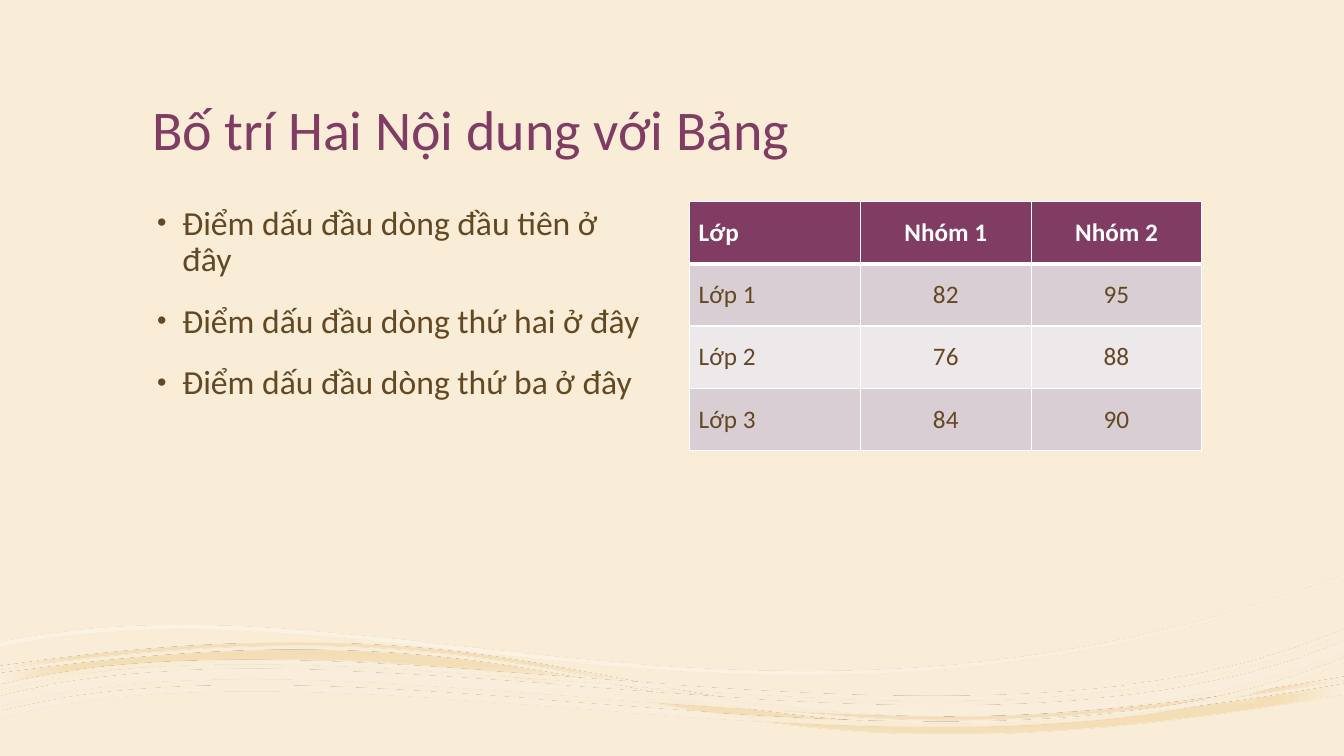
"""Build a two-content slide with bullets, a score table and wave ribbons."""
from dataclasses import dataclass
from math import cos, radians, sin

from lxml.etree import SubElement
from pptx import Presentation
from pptx.dml.color import RGBColor
from pptx.enum.text import MSO_ANCHOR, PP_ALIGN
from pptx.oxml import parse_xml
from pptx.oxml.ns import nsdecls, qn
from pptx.slide import Slide
from pptx.table import _Cell
from pptx.text.text import TextFrame, _Paragraph
from pptx.util import Inches, Pt

Point = tuple[float, float]

FONT = "Calibri"
PLUM, BROWN, WHITE, CREAM = "803C63", "634823", "FFFFFF", "F9EDD7"
BAND_FILLS = ("EDE8EA", "D8CED3")
WAVE_ROTATION = 356.5

TITLE = "Bố trí Hai Nội dung với Bảng"
BULLETS = (
    "Điểm dấu đầu dòng đầu tiên ở đây",
    "Điểm dấu đầu dòng thứ hai ở đây",
    "Điểm dấu đầu dòng thứ ba ở đây",
)
SCORES = (
    ("Lớp", "Nhóm 1", "Nhóm 2"),
    ("Lớp 1", "82", "95"),
    ("Lớp 2", "76", "88"),
    ("Lớp 3", "84", "90"),
)


@dataclass(frozen=True)
class Box:
    left: float
    top: float
    width: float
    height: float


@dataclass(frozen=True)
class Ribbon:
    """An outline whose edges hold a start point and then three points a curve."""
    upper: tuple[Point, ...]
    lower: tuple[Point, ...]


@dataclass(frozen=True)
class Stop:
    position: int
    color: str
    opacity: int = 100


@dataclass(frozen=True)
class Wave:
    box: Box
    ribbons: tuple[Ribbon, ...]
    stops: tuple[Stop, ...]
    direction: str


WAVES = (
    Wave(
        Box(0.01, 6.12, 13.31, 1.35),
        (
            Ribbon(((3.06, 6.45), (6.7, 6.47), (7.38, 7.82), (13.33, 6.78)),
                   ((13.33, 6.88), (6.02, 8.16), (6.67, 5.83), (0, 6.78),
                    (0, 6.68), (1.24, 6.51), (2.22, 6.44), (3.06, 6.45))),
            Ribbon(((3.06, 6.38), (6.7, 6.4), (7.38, 7.75), (13.33, 6.71)),
                   ((13.33, 6.74), (6.02, 8.02), (6.67, 5.69), (0, 6.64),
                    (0, 6.61), (1.24, 6.43), (2.22, 6.37), (3.06, 6.38))),
        ),
        (Stop(0, "FAF1DF", 90), Stop(18, "F4DEB7"), Stop(37, "F4DDB3", 90), Stop(100, "FAF1DF")),
        '<a:path path="shape"><a:fillToRect l="50000" t="50000" r="50000" b="50000"/></a:path>',
    ),
    Wave(
        Box(0.03, 5.88, 13.35, 1.71),
        (
            Ribbon(((13.33, 5.7),),
                   ((13.33, 5.73), (7.54, 7.88), (3.73, 5.63), (0, 6.41),
                    (0, 6.37), (3.73, 5.59), (7.54, 7.84), (13.33, 5.7))),
        ),
        (Stop(36, WHITE, 30), Stop(100, CREAM, 48)),
        '<a:lin ang="2700000" scaled="0"/>',
    ),
    Wave(
        Box(-0.01, 6.25, 13.36, 1.15),
        (
            Ribbon(((13.33, 6.52),),
                   ((13.33, 6.57), (9.55, 8.15), (3.49, 6.18), (0, 7.12),
                    (0, 7.06), (3.49, 6.12), (9.55, 8.1), (13.33, 6.52))),
            Ribbon(((13.33, 6.36),),
                   ((13.33, 6.46), (9.55, 8.04), (3.49, 6.06), (0, 7),
                    (0, 6.91), (3.49, 5.96), (9.55, 7.94), (13.33, 6.36))),
            Ribbon(((13.33, 6.24),),
                   ((13.33, 6.28), (9.58, 7.9), (3.51, 5.93), (0, 6.84),
                    (0, 6.8), (3.51, 5.89), (9.58, 7.86), (13.33, 6.24))),
        ),
        (Stop(36, WHITE, 47), Stop(100, "FAEFDC", 82)),
        '<a:path path="rect"><a:fillToRect l="100000" t="100000"/></a:path>',
    ),
)


def rgb(color: str) -> RGBColor:
    return RGBColor.from_string(color)


def point_xml(point: Point, box: Box) -> str:
    angle = radians(360 - WAVE_ROTATION)
    dx, dy = point[0] - box.left - box.width / 2, point[1] - box.top - box.height / 2
    x = Inches(box.width / 2 + dx * cos(angle) - dy * sin(angle))
    y = Inches(box.height / 2 + dx * sin(angle) + dy * cos(angle))
    return f'<a:pt x="{x}" y="{y}"/>'


def ribbon_xml(ribbon: Ribbon, box: Box) -> str:
    points = [point_xml(point, box) for point in ribbon.upper + ribbon.lower]
    edge_starts = range(len(ribbon.upper) % 8, len(points), 4)
    commands = [f"<a:moveTo>{points[0]}</a:moveTo>"]
    for start in edge_starts:
        commands.append(f"<a:lnTo>{points[start]}</a:lnTo>")
        commands.append(f'<a:cubicBezTo>{"".join(points[start + 1:start + 4])}</a:cubicBezTo>')
    if len(ribbon.upper) == 4:
        commands.insert(1, f'<a:cubicBezTo>{"".join(points[1:4])}</a:cubicBezTo>')
    return "".join(commands) + "<a:close/>"


def draw_wave(slide: Slide, wave: Wave) -> None:
    box = wave.box
    left, top, width, height = map(Inches, (box.left, box.top, box.width, box.height))
    builder = slide.shapes.build_freeform(left, top)
    builder.add_line_segments([(left + width, top), (left + width, top + height), (left, top + height)])
    shape = builder.convert_to_shape()
    shape.rotation = WAVE_ROTATION
    shape.shadow.inherit = False
    shape.line.fill.background()
    shape.fill.background()
    properties = shape._element.spPr
    outlines = "".join(ribbon_xml(ribbon, box) for ribbon in wave.ribbons)
    paths = properties.find(".//" + qn("a:pathLst"))
    paths.getparent().replace(paths, parse_xml(
        f'<a:pathLst {nsdecls("a")}><a:path w="{width}" h="{height}">{outlines}</a:path></a:pathLst>'
    ))
    stops = "".join(
        f'<a:gs pos="{stop.position * 1000}"><a:srgbClr val="{stop.color}">'
        f'<a:alpha val="{stop.opacity * 1000}"/></a:srgbClr></a:gs>'
        for stop in wave.stops
    )
    properties.replace(properties.find(qn("a:noFill")), parse_xml(
        f'<a:gradFill {nsdecls("a")} rotWithShape="1"><a:gsLst>{stops}</a:gsLst>{wave.direction}</a:gradFill>'
    ))


def style(paragraph: _Paragraph, size: int, color: str, bold: bool = False) -> None:
    paragraph.font.name = FONT
    paragraph.font.size = Pt(size)
    paragraph.font.bold = bold
    paragraph.font.color.rgb = rgb(color)


def add_text_frame(slide: Slide, box: Box, anchor: MSO_ANCHOR) -> TextFrame:
    shape = slide.shapes.add_textbox(*map(Inches, (box.left, box.top, box.width, box.height)))
    shape.text_frame.word_wrap = True
    shape.text_frame.vertical_anchor = anchor
    return shape.text_frame


def draw_title(slide: Slide, box: Box) -> None:
    paragraph = add_text_frame(slide, box, MSO_ANCHOR.BOTTOM).paragraphs[0]
    paragraph.text = TITLE
    paragraph.line_spacing = 0.9
    style(paragraph, 40, PLUM)


def draw_bullets(slide: Slide, box: Box) -> None:
    frame = add_text_frame(slide, box, MSO_ANCHOR.TOP)
    for index, text in enumerate(BULLETS):
        paragraph = frame.add_paragraph() if index else frame.paragraphs[0]
        paragraph.text = text
        paragraph.line_spacing = 0.9
        paragraph.space_before = Pt(18)
        style(paragraph, 24, BROWN)
        properties = paragraph._p.get_or_add_pPr()
        properties.set("marL", str(Inches(0.3)))
        properties.set("indent", str(Inches(-0.25)))
        for tag, key, value in (("buSzPct", "val", "80000"), ("buFont", "typeface", "Arial"), ("buChar", "char", "•")):
            SubElement(properties, qn(f"a:{tag}")).set(key, value)
        properties.append(properties.find(qn("a:defRPr")))


def add_borders(cell: _Cell, top: int, bottom: int) -> None:
    properties = cell._tc.get_or_add_tcPr()
    for side, width in (("L", 1), ("R", 1), ("T", top), ("B", bottom)):
        line = SubElement(properties, qn(f"a:ln{side}"), w=str(Pt(width)))
        SubElement(SubElement(line, qn("a:solidFill")), qn("a:srgbClr")).set("val", WHITE)


def draw_table(slide: Slide, box: Box) -> None:
    size = map(Inches, (box.left, box.top, box.width, box.height))
    table = slide.shapes.add_table(len(SCORES), len(SCORES[0]), *size).table
    table.horz_banding = False
    for row, values in enumerate(SCORES):
        for column, value in enumerate(values):
            cell = table.cell(row, column)
            add_borders(cell, 3 if row == 1 else 1, 3 if row == 0 else 1)
            cell.fill.solid()
            cell.fill.fore_color.rgb = rgb(BAND_FILLS[row % 2] if row else PLUM)
            cell.vertical_anchor = MSO_ANCHOR.MIDDLE
            cell.margin_left = cell.margin_right = Inches(0.09)
            paragraph = cell.text_frame.paragraphs[0]
            paragraph.text = value
            paragraph.alignment = PP_ALIGN.CENTER if column else PP_ALIGN.LEFT
            style(paragraph, 18, BROWN if row else WHITE, bold=row == 0)


def main() -> None:
    presentation = Presentation()
    presentation.slide_width, presentation.slide_height = Inches(13.33), Inches(7.5)
    slide = presentation.slides.add_slide(presentation.slide_layouts[6])
    slide.background.fill.solid()
    slide.background.fill.fore_color.rgb = rgb(CREAM)
    for wave in WAVES:
        draw_wave(slide, wave)
    draw_title(slide, Box(1.41, 0.33, 10.5, 1.33))
    draw_bullets(slide, Box(1.41, 2, 5.08, 4.33))
    draw_table(slide, Box(6.84, 2, 5.08, 2.47))
    presentation.save("out.pptx")


if __name__ == "__main__":
    main()
